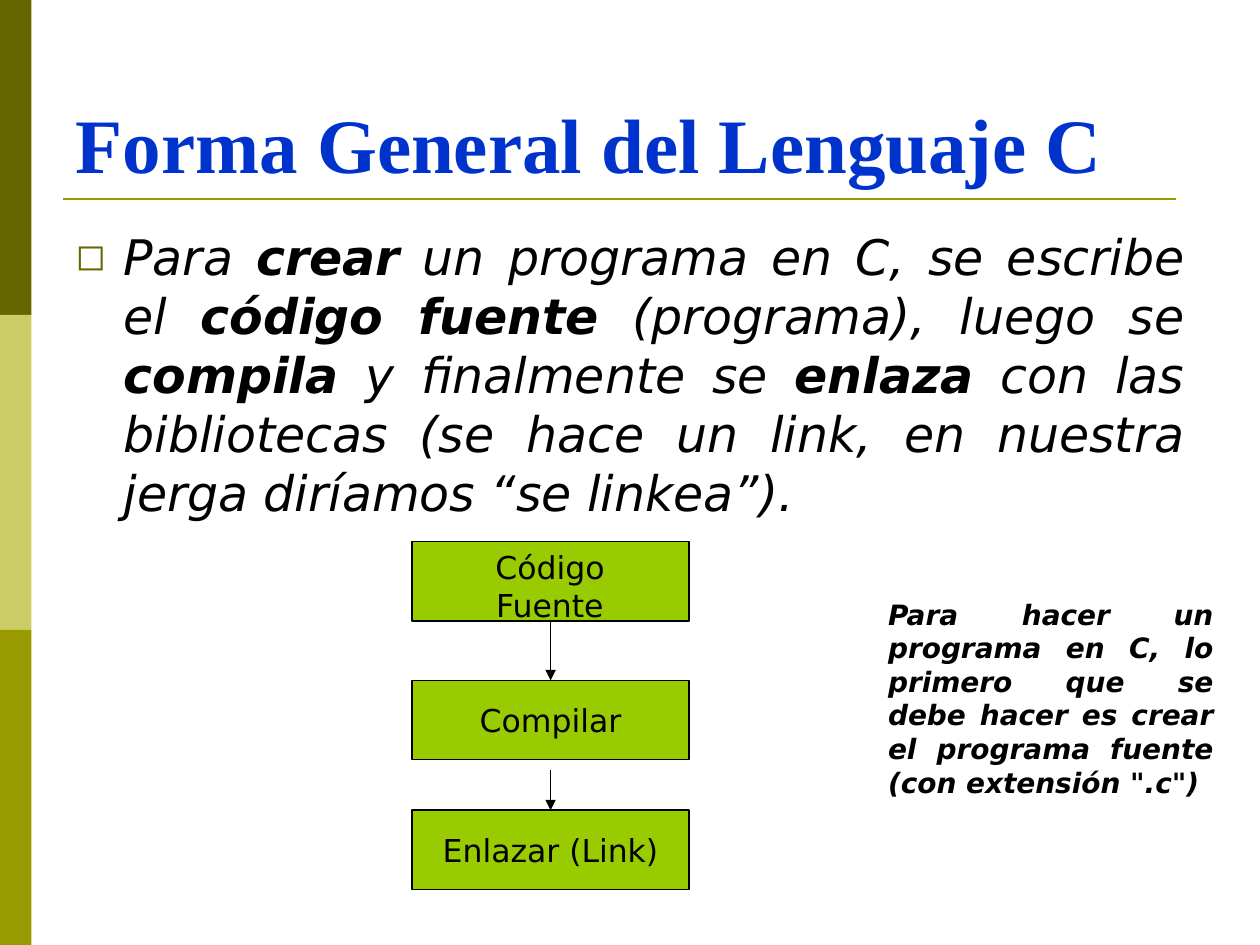
from lxml.etree import SubElement
from pptx import Presentation
from pptx.dml.color import RGBColor
from pptx.enum.shapes import MSO_CONNECTOR, MSO_SHAPE
from pptx.enum.text import MSO_ANCHOR, MSO_AUTO_SIZE, PP_ALIGN
from pptx.oxml.ns import qn
from pptx.util import Inches, Pt

BLACK = RGBColor(0x00, 0x00, 0x00)
BLUE = RGBColor(0x00, 0x33, 0xCC)
LIME = RGBColor(0x99, 0xCC, 0x00)
DARK = RGBColor(0x66, 0x66, 0x00)
PALE = RGBColor(0xCC, 0xCC, 0x66)
OLIVE = RGBColor(0x99, 0x99, 0x00)
SANS = "DejaVu Sans"

deck = Presentation()
deck.slide_width = Inches(10)
deck.slide_height = Inches(7.5)
slide = deck.slides.add_slide(deck.slide_layouts[1])
shapes = slide.shapes
title, body = shapes.title, slide.placeholders[1]


def style(par, size, align, color=BLACK, name=SANS, bold=False, italic=False):
    par.alignment = align
    font = par.font
    font.size, font.name = Pt(size), name
    font.bold, font.italic = bold, italic
    font.color.rgb = color


def link(start, end, color, width, arrow=False):
    line = shapes.add_connector(MSO_CONNECTOR.STRAIGHT, *start, *end)
    line.line.color.rgb = color
    line.line.width = Pt(width)
    if arrow:
        SubElement(line.line._get_or_add_ln(), qn("a:tailEnd"), type="triangle")
    SubElement(line._element.spPr, qn("a:effectLst"))
    return line


band = deck.slide_height // 3
for row, color in enumerate((DARK, PALE, OLIVE)):
    bar = shapes.add_shape(MSO_SHAPE.RECTANGLE, 0, row * band, deck.slide_width // 40, band)
    bar.shadow.inherit = False
    bar.fill.solid()
    bar.fill.fore_color.rgb = color
    bar.line.fill.background()
link((Inches(0.5), Inches(1.58)), (Inches(9.33), Inches(1.58)), OLIVE, 1.5)

for holder, top, height in ((title, 0.3, 1.25), (body, 1.75, 4.95)):
    holder.left, holder.top = Inches(0.5), Inches(top)
    holder.width, holder.height = Inches(9), Inches(height)
    holder.text_frame.auto_size = MSO_AUTO_SIZE.NONE

title.text_frame.text = "Forma General del Lenguaje C"
title.text_frame.vertical_anchor = MSO_ANCHOR.BOTTOM
style(title.text_frame.paragraphs[0], 44, PP_ALIGN.LEFT, BLUE, "Times New Roman", True)

par = body.text_frame.paragraphs[0]
props = par._p.get_or_add_pPr()
props.set("marL", str(Inches(0.38)))
props.set("indent", str(-Inches(0.38)))
tint = SubElement(props, qn("a:buClr"))
SubElement(tint, qn("a:srgbClr"), val=str(DARK))
SubElement(props, qn("a:buSzPct"), val="75000")
SubElement(props, qn("a:buFont"), typeface=SANS)
SubElement(props, qn("a:buChar"), char="◻")
par.space_before = Pt(0)
style(par, 28, PP_ALIGN.JUSTIFY, italic=True)
parts = (
    "Para ", "crear", " un programa en C, se escribe el ", "código fuente",
    " (programa), luego se ", "compila", " y finalmente se ", "enlaza",
    " con las bibliotecas (se hace un link, en nuestra jerga diríamos “se linkea”).",
)
for spot, part in enumerate(parts):
    run = par.add_run()
    run.text = part
    if spot % 2:
        run.font.bold = True

left, wide, high = Inches(3.27), Inches(2.2), Inches(0.63)
steps = []
for top, label in ((4.3, ""), (5.4, "Compilar"), (6.43, "Enlazar (Link)")):
    box = shapes.add_shape(MSO_SHAPE.RECTANGLE, left, Inches(top), wide, high)
    box.shadow.inherit = False
    box.fill.solid()
    box.fill.fore_color.rgb = LIME
    box.line.color.rgb = BLACK
    box.line.width = Pt(0.75)
    if label:
        box.text_frame.text = label
        box.text_frame.word_wrap = False
        box.text_frame.vertical_anchor = MSO_ANCHOR.MIDDLE
        style(box.text_frame.paragraphs[0], 18, PP_ALIGN.CENTER)
    steps.append(box)

notes = (
    ("Código Fuente", (3.58, 4.3, 1.57, 0.7), 18, PP_ALIGN.CENTER, False),
    ('Para hacer un programa en C, lo primero que se debe hacer es crear '
     'el programa fuente (con extensión ".c")',
     (6.95, 4.69, 2.78, 1.44), 16, PP_ALIGN.JUSTIFY, True),
)
for text, place, size, align, strong in notes:
    frame = shapes.add_textbox(*map(Inches, place)).text_frame
    frame.word_wrap = True
    frame.text = text
    style(frame.paragraphs[0], size, align, bold=strong, italic=strong)

first, second, third = steps
mid = left + wide // 2
arrow = link((mid, first.top + high), (mid, second.top), BLACK, 0.75, True)
arrow.begin_connect(first, 2)
arrow.end_connect(second, 0)
arrow = link((mid, Inches(6.11)), (mid, third.top), BLACK, 0.75, True)
arrow.end_connect(third, 0)

deck.save("out.pptx")
